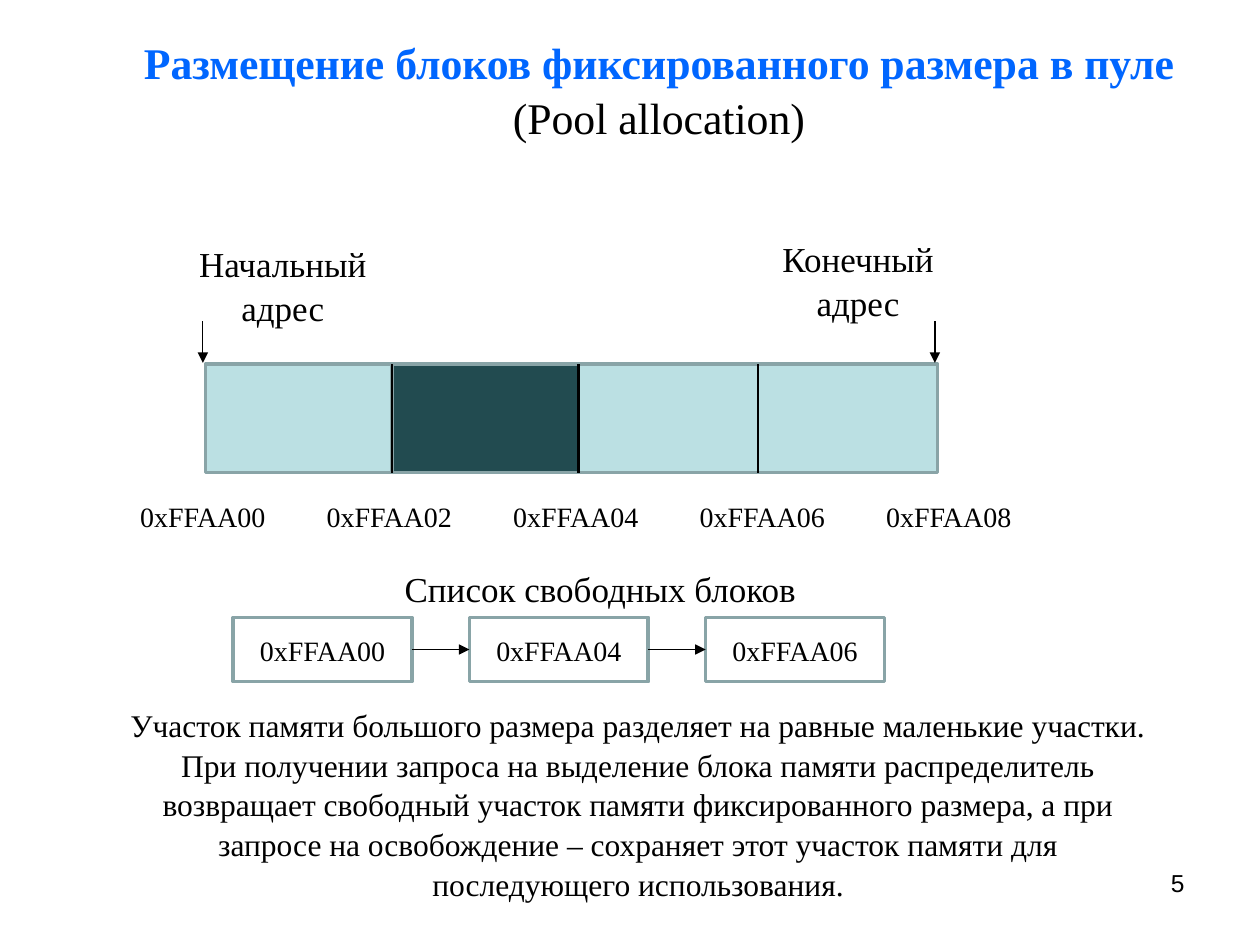
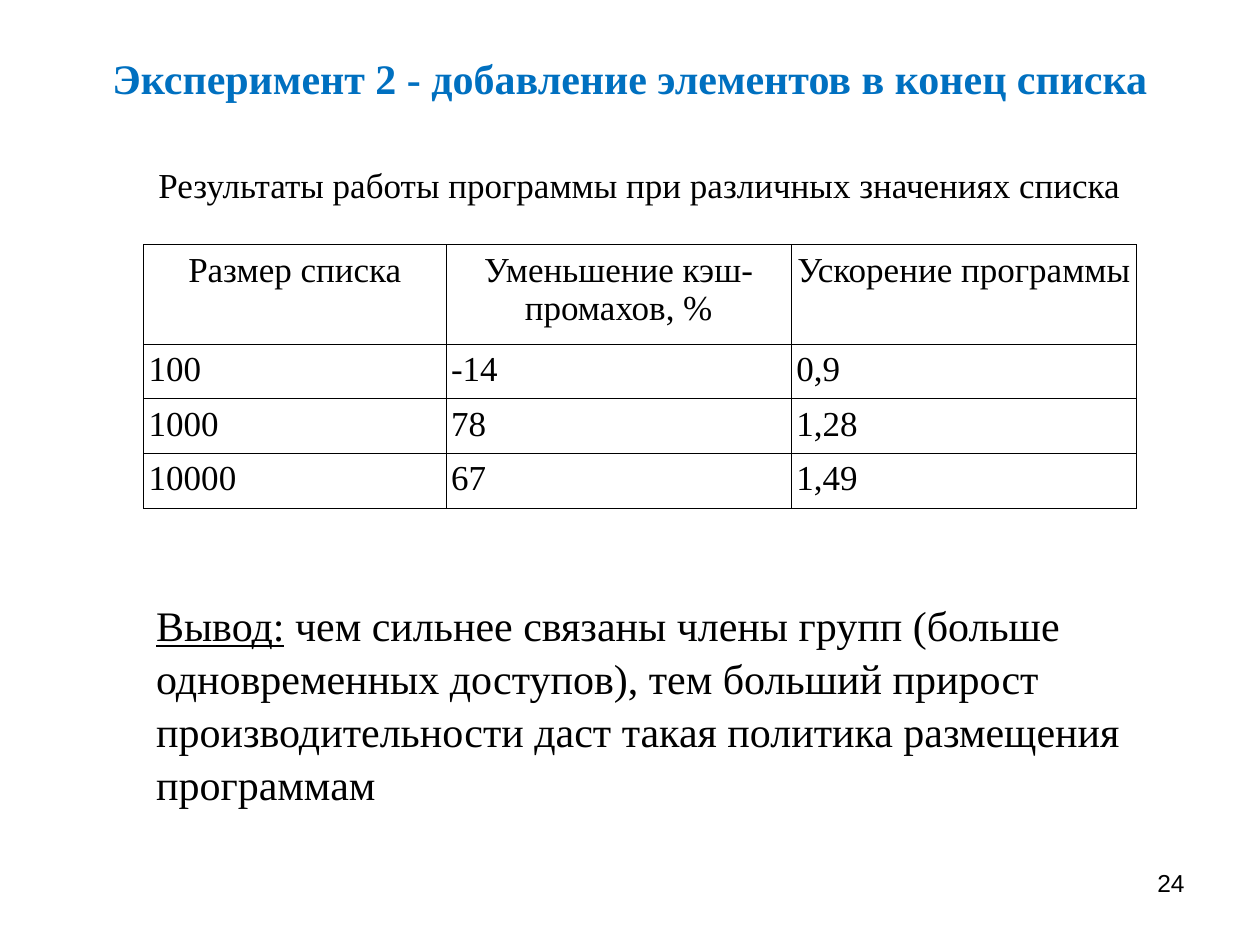
import pptx
import pptx.dml.color
import pptx.enum.shapes
import pptx.enum.text
import pptx.oxml
import pptx.oxml.ns
import pptx.util

Inches = pptx.util.Inches
ALIGN = pptx.enum.text.PP_ALIGN
ANCHOR = pptx.enum.text.MSO_ANCHOR
SERIF = "Times New Roman"
BLACK, EDGE, FREE, BUSY = "000000", "89A4A7", "BBE0E3", "224B50"
LINE_SPACING = 1.05


def rgb(hex_code):
    """Turn a hex string into a colour."""
    return pptx.dml.color.RGBColor.from_string(hex_code)


def place(shape, box):
    """Move and size a shape to a box given in inches."""
    for side, length in zip(("left", "top", "width", "height"), box):
        setattr(shape, side, Inches(length))


def format_font(font, size, color=BLACK, **values):
    """Apply size, colour and further values to a font."""
    for key, value in {"name": SERIF, "size": pptx.util.Pt(size), **values}.items():
        setattr(font, key, value)
    font.color.rgb = rgb(color)


def write(frame, lines, size, align=ALIGN.CENTER, **values):
    """Fill a text frame with one paragraph for each line."""
    frame.word_wrap = True
    for index, line in enumerate(lines):
        paragraph = frame.add_paragraph() if index else frame.paragraphs[0]
        paragraph.alignment = align
        paragraph.line_spacing = LINE_SPACING
        run = paragraph.add_run()
        run.text = line
        format_font(run.font, size, **values)


def add_text(slide, box, lines, size, **values):
    """Add a wrapped text box and return its frame."""
    frame = slide.shapes.add_textbox(*map(Inches, box)).text_frame
    write(frame, lines, size, **values)
    return frame


def add_rect(slide, box, fill=None):
    """Add an outlined rectangle with an optional fill."""
    rect = slide.shapes.add_shape(
        pptx.enum.shapes.MSO_SHAPE.RECTANGLE, *map(Inches, box))
    rect.shadow.inherit = False
    if fill:
        rect.fill.solid()
        rect.fill.fore_color.rgb = rgb(fill)
    else:
        rect.fill.background()
    rect.line.color.rgb = rgb(EDGE)
    rect.line.width = pptx.util.Pt(2)
    return rect


def add_line(slide, start, end, width=0.75, arrow=True):
    """Add a straight black line, with an arrowhead at its end if asked."""
    line = slide.shapes.add_connector(
        pptx.enum.shapes.MSO_CONNECTOR.STRAIGHT, *map(Inches, (*start, *end)))
    line.line.color.rgb = rgb(BLACK)
    line.line.width = pptx.util.Pt(width)
    if arrow:
        pptx.oxml.ns.qn("a:tailEnd")
        head = pptx.oxml.parse_xml(
            f'<a:tailEnd {pptx.oxml.ns.nsdecls("a")} type="triangle"/>')
        line.line._get_or_add_ln().append(head)
    line._element.spPr.append(
        pptx.oxml.parse_xml(f'<a:effectLst {pptx.oxml.ns.nsdecls("a")}/>'))
    return line


def start_slide(deck, title, box, size, color, number):
    """Add a title-only slide with its title and page number."""
    slide = deck.slides.add_slide(deck.slide_layouts[5])
    place(slide.shapes.title, box)
    frame = slide.shapes.title.text_frame
    frame.auto_size = pptx.enum.text.MSO_AUTO_SIZE.NONE
    frame.vertical_anchor = ANCHOR.MIDDLE
    write(frame, [title], size, color=color, bold=True)
    add_text(slide, (7.17, 6.83, 2.33, 0.52), [str(number)], 14,
             align=ALIGN.RIGHT, name="Arial")
    return slide


def draw_memory(slide, box):
    """Draw the pool of blocks with its end labels and addresses."""
    left, top, width, height = box
    block = 1.48
    tail_width = width - 2 * block
    for offset, span, fill in ((2 * block, tail_width, FREE),
                               (block, block, BUSY), (0, block, FREE)):
        add_rect(slide, (left + offset, top, span, height), fill)
    for offset in (block, 2 * block, 2 * block + tail_width / 2):
        add_line(slide, (left + offset, top), (left + offset, top + height),
                 width=1.5, arrow=False)
    for x in (left - 0.02, left + width - 0.02):
        add_line(slide, (x, top - 0.34), (x, top - 0.01))
    add_text(slide, (left - 0.17, top - 1.03, 1.57, 0.77), ["Начальный", "адрес"], 20)
    add_text(slide, (left + 4.47, top - 1.07, 1.42, 0.77), ["Конечный", "адрес"], 20)
    for index in range(5):
        add_text(slide, (left - 0.65 + index * block, top + 1.01, 1.26, 0.37),
                 [f"0xFFAA0{2 * index}"], 16)


def draw_free_list(slide, box):
    """Draw the titled chain of free blocks."""
    left, top, width, height = box
    node_width = 1.42
    addresses = ("0xFFAA00", "0xFFAA04", "0xFFAA06")
    step = (width - node_width) / (len(addresses) - 1)
    add_text(slide, (left + 1.26, top - 0.46, 3.31, 0.42), ["Список свободных блоков"], 20)
    previous = None
    for index, address in enumerate(addresses):
        x = left + index * step
        node = add_rect(slide, (x, top, node_width, height))
        node.text_frame.vertical_anchor = ANCHOR.MIDDLE
        write(node.text_frame, [address], 16)
        if previous:
            middle = top + height / 2
            link = add_line(slide, (x - step + node_width, middle), (x, middle))
            link.begin_connect(previous, 3)
            link.end_connect(node, 1)
        previous = node


def draw_border(cell):
    """Give a table cell thin black borders and no fill."""
    for side in "LRTB":
        cell._tc.get_or_add_tcPr().append(pptx.oxml.parse_xml(
            f'<a:ln{side} {pptx.oxml.ns.nsdecls("a")} w="{pptx.util.Pt(0.45)}">'
            f'<a:solidFill><a:srgbClr val="{BLACK}"/></a:solidFill></a:ln{side}>'))
    cell.fill.background()


def draw_results(slide, box):
    """Draw the table of experiment results."""
    rows = (("Размер списка", "Уменьшение кэш-промахов, %", "Ускорение программы"),
            ("100", "-14", "0,9"), ("1000", "78", "1,28"), ("10000", "67", "1,49"))
    table = slide.shapes.add_table(len(rows), len(rows[0]), *map(Inches, box)).table
    table.first_row = table.horz_banding = False
    for column, width in zip(table.columns, (2.4, 2.74, 2.74)):
        column.width = Inches(width)
    for row, height in zip(table.rows, (0.79, 0.43, 0.43, 0.44)):
        row.height = Inches(height)
    for y, values in enumerate(rows):
        for x, value in enumerate(values):
            cell = table.cell(y, x)
            cell.margin_left = cell.margin_right = Inches(0.04)
            draw_border(cell)
            paragraph = cell.text_frame.paragraphs[0]
            paragraph.text = value
            paragraph.alignment = ALIGN.LEFT if y else ALIGN.CENTER
            format_font(paragraph.runs[0].font, 20)


def build_pool_slide(deck):
    """Build the slide on pool allocation."""
    slide = start_slide(deck, "Размещение блоков фиксированного размера в пуле",
                        (0.73, 0.2, 9, 1), 25, "0066FF", 5)
    heading = slide.shapes.title.text_frame.paragraphs[0]
    heading.add_line_break()
    english = heading.add_run()
    english.text = "(Pool allocation)"
    format_font(english.font, 25, bold=False)
    draw_memory(slide, (1.63, 2.89, 5.81, 0.86))
    draw_free_list(slide, (1.85, 4.9, 5.17, 0.51))
    add_text(slide, (0.85, 5.54, 8.43, 1.6), [
        "Участок памяти большого размера разделяет на равные маленькие участки. "
        "При получении запроса на выделение блока памяти распределитель возвращает "
        "свободный участок памяти фиксированного размера, а при запросе на "
        "освобождение – сохраняет этот участок памяти для последующего "
        "использования."], 18)


def build_experiment_slide(deck):
    """Build the slide on the second experiment."""
    slide = start_slide(deck, "Эксперимент 2 - добавление элементов в конец списка",
                        (0.5, 0.3, 9, 0.61), 24, "0070C0", 24)
    add_text(slide, (0.98, 1.23, 8.19, 0.44),
             ["Результаты работы программы при различных значениях списка"], 20)
    draw_results(slide, (1.14, 1.94, 7.88, 2.09))
    conclusion = add_text(slide, (1.14, 4.69, 7.88, 1.7), ["Вывод:"], 24,
                          align=ALIGN.LEFT, underline=True)
    finding = conclusion.paragraphs[0].add_run()
    finding.text = (" чем сильнее связаны члены групп (больше одновременных доступов), "
                    "тем больший прирост производительности даст такая политика "
                    "размещения программам")
    format_font(finding.font, 24, underline=False)


def main():
    """Build both slides and save the deck."""
    deck = pptx.Presentation()
    deck.slide_width, deck.slide_height = Inches(10), Inches(7.5)
    build_pool_slide(deck)
    build_experiment_slide(deck)
    deck.save("out.pptx")


if __name__ == "__main__":
    main()
